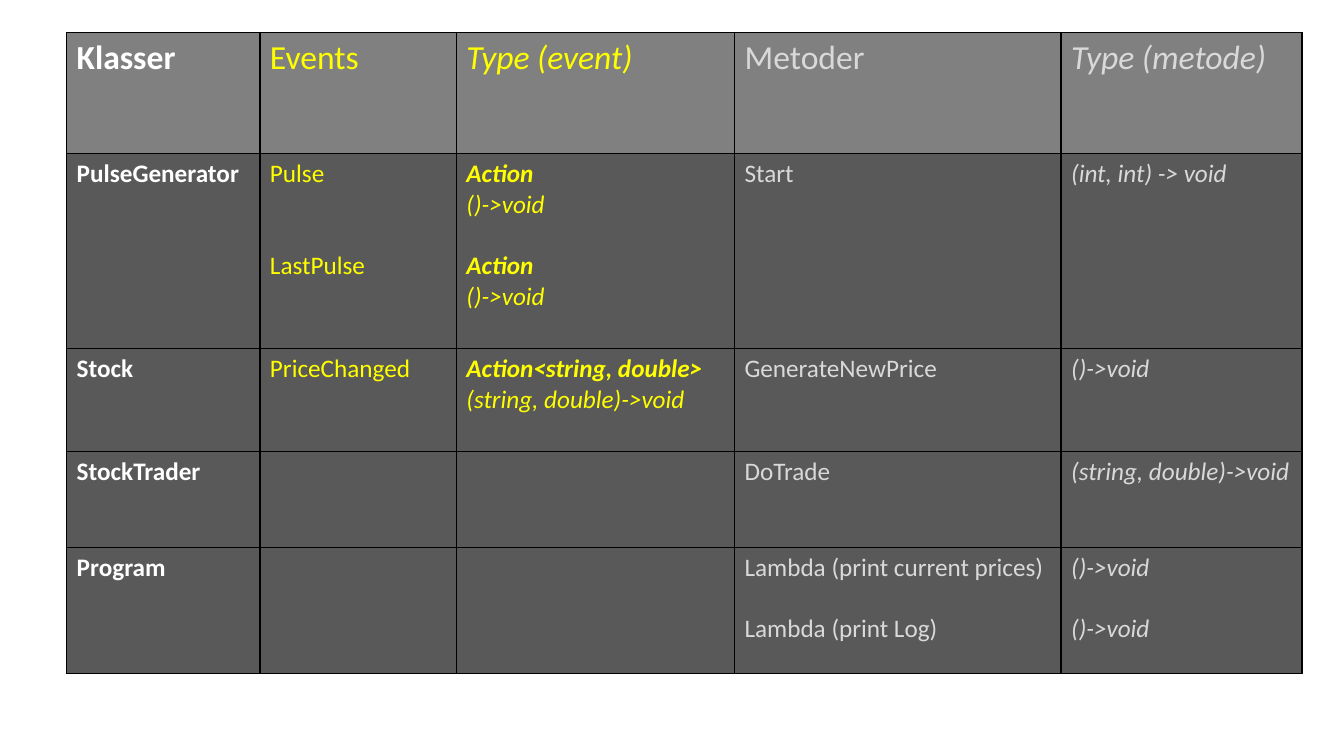
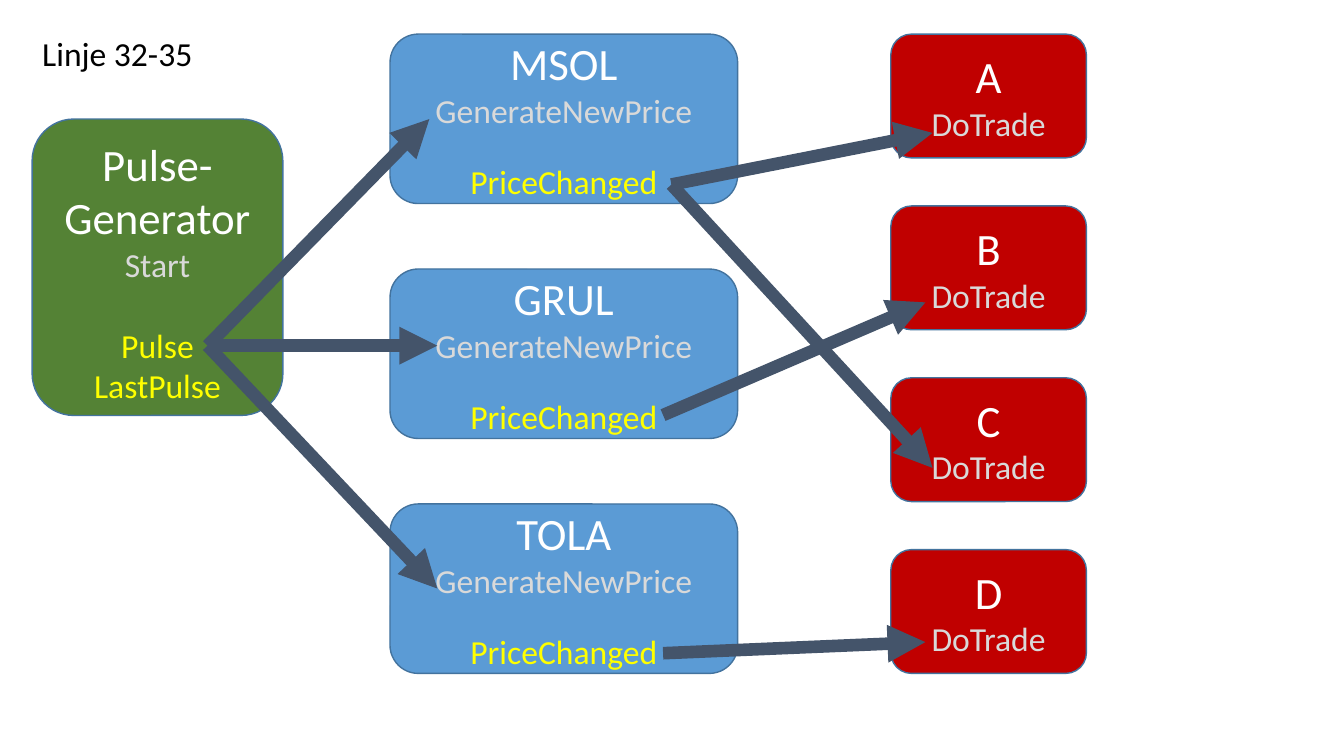
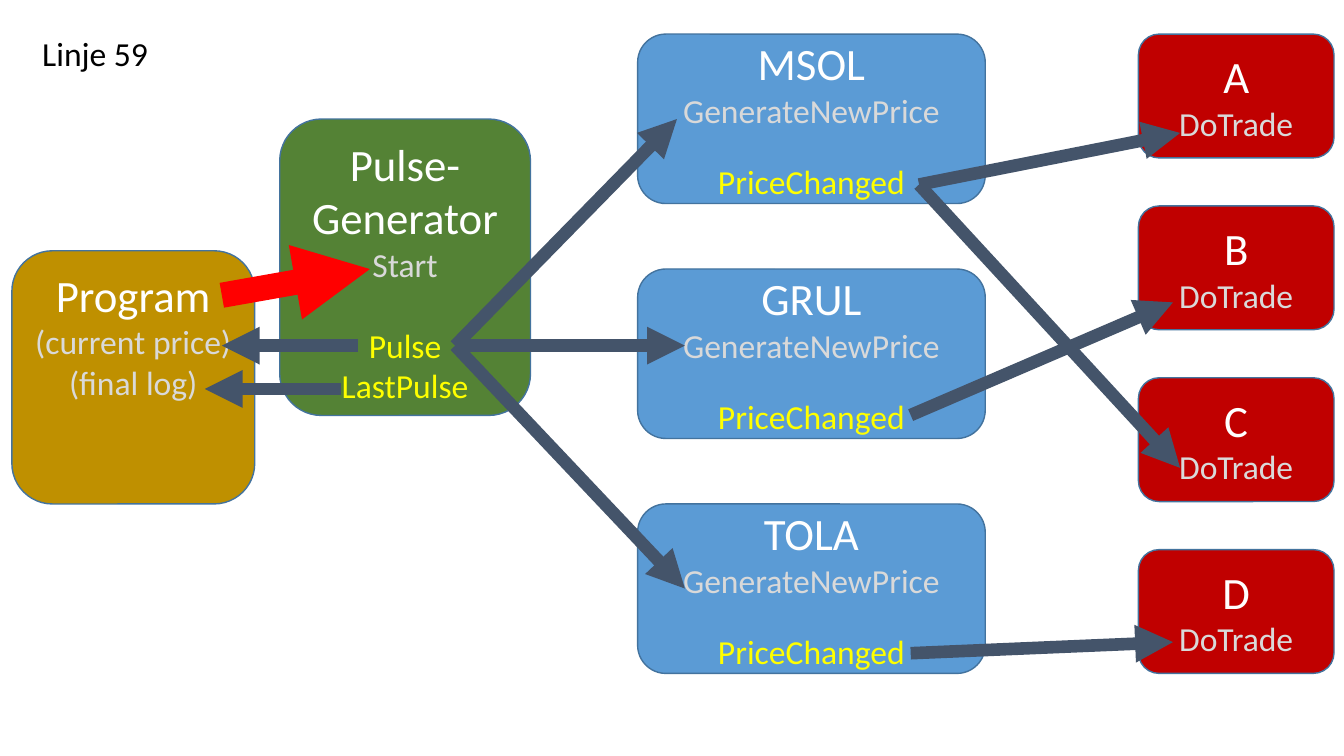
from dataclasses import dataclass

from lxml.etree import SubElement
from pptx import Presentation
from pptx.dml.color import RGBColor
from pptx.enum.shapes import MSO_CONNECTOR as Link, MSO_SHAPE as Preset
from pptx.enum.text import MSO_ANCHOR as Anchor, PP_ALIGN as Align
from pptx.oxml import parse_xml
from pptx.oxml.ns import nsdecls, qn
from pptx.util import Cm, Pt


@dataclass(frozen=True)
class Theme:
    font: str = "Calibri"
    white: str = "FFFFFF"
    black: str = "000000"
    event: str = "FFFF00"
    method: str = "D9D9D9"
    header: str = "808080"
    cell: str = "595959"
    stock: str = "5B9BD5"
    pulse: str = "548235"
    trader: str = "C00000"
    program: str = "BF9000"
    outline: str = "43739E"
    arrow: str = "44546A"
    call: str = "FF0000"
    name_size: int = 32
    text_size: int = 24
    cell_size: int = 18
    small_gap: int = 22
    large_gap: int = 29


THEME = Theme()


@dataclass(frozen=True)
class Line:
    text: str
    color: str
    size: int = THEME.text_size
    bold: bool = False
    italic: bool = False
    gap: int = 0


class Deck:
    """Hold the theme, the presentation and the page being drawn."""

    def __init__(self, theme):
        self.theme = theme
        self.deck = Presentation()
        self.deck.slide_width, self.deck.slide_height = Cm(33.87), Cm(19.05)
        self.page = None

    def add_page(self, title=None):
        layout = self.deck.slide_layouts[5 if title else 6]
        self.page = self.deck.slides.add_slide(layout)
        if title:
            box = self.page.shapes.title
            box.left, box.top, box.width, box.height = Cm(0.81), Cm(0.71), Cm(6.45), Cm(1.27)
            box.text_frame.vertical_anchor = Anchor.TOP
            self.fill_text(box.text_frame, [Line(title, self.theme.black)], Align.LEFT)

    def fill_text(self, frame, lines, align):
        frame.word_wrap = True
        for index, line in enumerate(lines):
            para = frame.add_paragraph() if index else frame.paragraphs[0]
            para.text = line.text
            para.alignment = align
            para.space_before = Pt(line.gap)
            font = para.font
            font.name, font.size = self.theme.font, Pt(line.size)
            font.bold, font.italic = line.bold, line.italic
            font.color.rgb = RGBColor.from_string(line.color)

    def add_box(self, left, top, width, height, color, lines, anchor=Anchor.MIDDLE):
        box = self.page.shapes.add_shape(
            Preset.ROUNDED_RECTANGLE, Cm(left), Cm(top), Cm(width), Cm(height))
        box.shadow.inherit = False
        box.fill.solid()
        box.fill.fore_color.rgb = RGBColor.from_string(color)
        box.line.color.rgb = RGBColor.from_string(self.theme.outline)
        box.line.width = Pt(1)
        box.text_frame.vertical_anchor = anchor
        self.fill_text(box.text_frame, lines, Align.CENTER)

    def add_arrow(self, start, end, color=THEME.arrow, width=9):
        arrow = self.page.shapes.add_connector(Link.STRAIGHT, *map(Cm, start + end))
        arrow.line.color.rgb = RGBColor.from_string(color)
        arrow.line.width = Pt(width)
        SubElement(arrow.line._get_or_add_ln(), qn("a:tailEnd"), type="triangle")
        SubElement(arrow._element.spPr, qn("a:effectLst"))

    def add_table(self, left, top, widths, heights, rows):
        table = self.page.shapes.add_table(
            len(heights), len(widths), Cm(left), Cm(top),
            Cm(sum(widths)), Cm(sum(heights))).table
        table.first_row = table.horz_banding = False
        for column, width in zip(table.columns, widths):
            column.width = Cm(width)
        for row, height, contents in zip(table.rows, heights, rows):
            row.height = Cm(height)
            for cell, lines in zip(row.cells, contents):
                self.fill_text(cell.text_frame, lines, Align.LEFT)
                color = self.theme.header if contents is rows[0] else self.theme.cell
                cell.fill.solid()
                cell.fill.fore_color.rgb = RGBColor.from_string(color)
                self.add_borders(cell)

    def add_borders(self, cell):
        for index, side in enumerate("LRTB"):
            border = parse_xml(
                f'<a:ln{side} {nsdecls("a")} w="12700"><a:solidFill>'
                f'<a:srgbClr val="{self.theme.black}"/></a:solidFill></a:ln{side}>')
            cell._tc.get_or_add_tcPr().insert(index, border)


HEADINGS = ["Klasser", "Events", "Type (event)", "Metoder", "Type (metode)"]
COLUMN_STYLES = [
    (THEME.white, True, False),
    (THEME.event, False, False),
    (THEME.event, False, True),
    (THEME.method, False, False),
    (THEME.method, False, True),
]
GAP = THEME.small_gap
MEMBERS = [
    [["PulseGenerator"], ["Pulse", ("LastPulse", 2 * GAP)],
     ["Action", "()->void", ("Action", GAP), "()->void"],
     ["Start"], ["(int, int) -> void"]],
    [["Stock"], ["PriceChanged"],
     ["Action<string, double>", "(string, double)->void"],
     ["GenerateNewPrice"], ["()->void"]],
    [["StockTrader"], [], [], ["DoTrade"], ["(string, double)->void"]],
    [["Program"], [], [],
     ["Lambda (print current prices)", ("Lambda (print Log)", GAP)],
     ["()->void", ("()->void", GAP)]],
]
STOCKS = ["MSOL", "GRUL", "TOLA"]
TRADERS = "ABCD"
EVENT_ARROWS = [
    ((5.23, 8.71), (10.82, 3)),
    ((5.23, 8.71), (11.02, 8.71)),
    ((5.23, 8.71), (11.02, 14.83)),
    ((16.92, 4.65), (23.5, 3.35)),
    ((16.92, 4.65), (23.5, 11.79)),
    ((16.71, 10.46), (23.32, 7.62)),
    ((16.71, 16.46), (23.32, 16.18)),
]


def style_cells(row, size):
    cells = []
    for entries, (color, bold, italic) in zip(row, COLUMN_STYLES):
        pairs = [entry if isinstance(entry, tuple) else (entry, 0) for entry in entries]
        cells.append([
            Line(text, color, size, bold or text.startswith("Action"), italic, gap)
            for text, gap in pairs])
    return cells


def name_line(text):
    return Line(text, THEME.white, THEME.name_size)


def draw_overview(deck):
    deck.add_page()
    rows = [style_cells([[heading] for heading in HEADINGS], THEME.text_size)]
    rows += [style_cells(row, THEME.cell_size) for row in MEMBERS]
    deck.add_table(1.68, 0.82, [4.87, 4.95, 7.01, 8.23, 6.07],
                   [3.05, 4.92, 2.59, 2.41, 3.18], rows)


def draw_event_flow(deck, title, shift=0):
    deck.add_page(title)
    deck.add_box(0.81 + shift, 3, 6.32, 7.47, THEME.pulse, [
        name_line("Pulse-"), name_line("Generator"),
        Line("Start", THEME.method),
        Line("Pulse", THEME.event, gap=THEME.large_gap),
        Line("LastPulse", THEME.event)], Anchor.TOP)
    for index, stock in enumerate(STOCKS):
        deck.add_box(9.83 + shift, 0.86 + 5.92 * index, 8.76, 4.27, THEME.stock, [
            name_line(stock), Line("GenerateNewPrice", THEME.method),
            Line("PriceChanged", THEME.event, gap=THEME.small_gap)])
    for index, trader in enumerate(TRADERS):
        deck.add_box(22.45 + shift, 0.86 + 4.33 * index, 4.93, 3.12, THEME.trader,
                     [name_line(trader), Line("DoTrade", THEME.method)])
    for (x1, y1), (x2, y2) in EVENT_ARROWS:
        deck.add_arrow((x1 + shift, y1), (x2 + shift, y2))


def draw_program(deck):
    deck.add_box(0.3, 6.32, 6.12, 6.38, THEME.program, [
        name_line("Program"), Line("(current price)", THEME.method),
        Line("(final log)", THEME.method)], Anchor.TOP)
    deck.add_arrow((9.02, 8.71), (5.59, 8.71))
    deck.add_arrow((8.59, 9.8), (5.16, 9.8))
    deck.add_arrow((5.59, 7.44), (9.32, 6.78), THEME.call, 18)


def main():
    deck = Deck(THEME)
    draw_overview(deck)
    draw_event_flow(deck, "Linje 32-35")
    draw_event_flow(deck, "Linje 59", shift=6.24)
    draw_program(deck)
    deck.deck.save("out.pptx")


if __name__ == "__main__":
    main()
